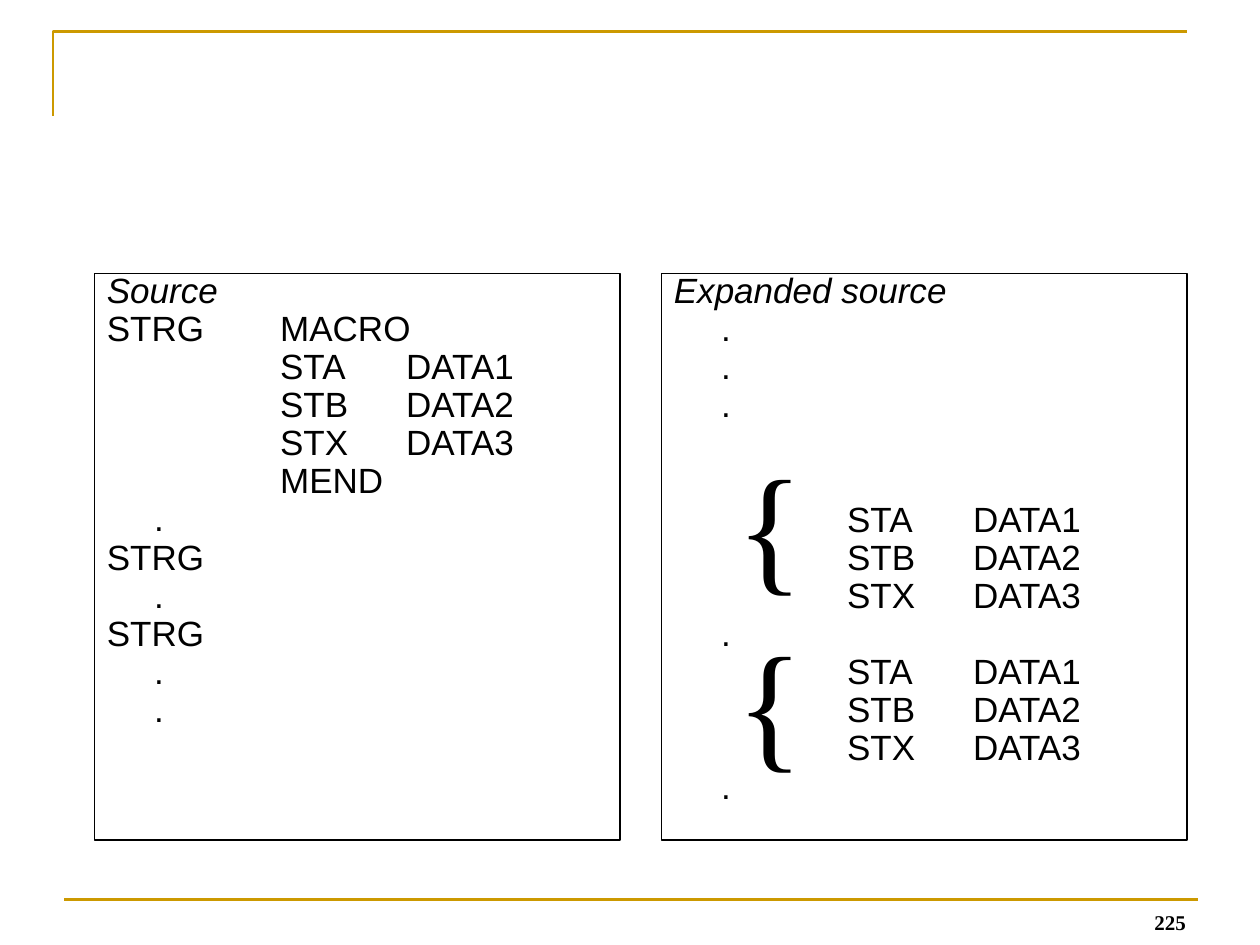
from dataclasses import dataclass

from lxml import etree
from pptx import Presentation
from pptx import util as u
from pptx.dml.color import RGBColor
from pptx.enum import shapes, text
from pptx.oxml import ns


@dataclass(frozen=True)
class Theme:
    gold = RGBColor(0xCC, 0x99, 0x00)
    black = RGBColor(0, 0, 0)
    code_font = "Arial"
    serif_font = "Times New Roman"
    code_size = 20
    brace_size = 80
    number_size = 12
    rule_width = 1.5
    panel_width = 1
    line_spacing = 0.7
    space_before = 5
    line_pitch = 21.8


THEME = Theme()
STORES = ["\t\tSTA\tDATA1", "\t\tSTB\tDATA2", "\t\tSTX\tDATA3"]
SOURCE = ["STRG\tMACRO", *STORES, "\t\tMEND",
          "\t.", "STRG", "\t.", "STRG", "\t.", "\t."]
EXPANDED = ["\t."] * 3 + STORES + ["\t."] + STORES + ["\t."]
FIRST_EXPANSION = 4  # paragraph that follows a gap of two lines


def style_run(paragraph, name, size, bold=False, italic=False):
    font = paragraph.runs[0].font
    font.name, font.size = name, u.Pt(size)
    font.bold, font.italic = bold, italic
    font.color.rgb = THEME.black


def set_code_tabs(paragraph):
    """Hanging indent with a tab stop at every inch."""
    properties = paragraph._p.get_or_add_pPr()
    properties.set("marL", str(u.Inches(0.375)))
    properties.set("indent", str(u.Inches(-0.375)))
    properties.set("defTabSz", str(u.Inches(1)))
    tabs = etree.SubElement(properties, ns.qn("a:tabLst"))
    for inch in range(8):
        etree.SubElement(tabs, ns.qn("a:tab"), pos=str(u.Inches(inch)), algn="l")


def add_label(slide, left, top, width, height, label, size, bold=False):
    box = slide.shapes.add_textbox(left, top, width, height)
    frame = box.text_frame
    frame.word_wrap = True
    frame.text = label
    style_run(frame.paragraphs[0], THEME.serif_font, size, bold)
    return frame


def add_corner(slide, left, top, width, height):
    builder = slide.shapes.build_freeform(left, top + height)
    builder.add_line_segments([(left, top), (left + width, top)], close=False)
    corner = builder.convert_to_shape()
    corner.shadow.inherit = False
    corner.fill.background()
    corner.line.color.rgb = THEME.gold
    corner.line.width = u.Pt(THEME.rule_width)


def add_footer(slide, left, top, width, number):
    rule = slide.shapes.add_connector(
        shapes.MSO_CONNECTOR.STRAIGHT, left, top, left + width, top)
    rule.line.color.rgb = THEME.gold
    rule.line.width = u.Pt(THEME.rule_width)
    etree.SubElement(rule._element.spPr, ns.qn("a:effectLst"))

    number_width = u.Inches(2.33)
    frame = add_label(slide, left + width - number_width, top - u.Inches(0.03),
                      number_width, u.Inches(0.36), number, THEME.number_size, True)
    frame.vertical_anchor = text.MSO_ANCHOR.BOTTOM
    frame.paragraphs[0].alignment = text.PP_ALIGN.RIGHT


def add_code_panel(slide, left, top, width, height, title, lines, gap_before=None):
    panel = slide.shapes.add_shape(
        shapes.MSO_SHAPE.RECTANGLE, left, top, width, height)
    panel.shadow.inherit = False
    panel.fill.background()
    panel.line.color.rgb = THEME.black
    panel.line.width = u.Pt(THEME.panel_width)

    frame = panel.text_frame
    frame.word_wrap = True
    frame.vertical_anchor = text.MSO_ANCHOR.TOP
    frame.text = "\n".join([title, *lines])
    for index, paragraph in enumerate(frame.paragraphs):
        set_code_tabs(paragraph)
        paragraph.alignment = text.PP_ALIGN.LEFT
        paragraph.line_spacing = THEME.line_spacing
        space = THEME.space_before if index else 0
        if index == gap_before:
            space += 2 * THEME.line_pitch
        paragraph.space_before = u.Pt(space)
        style_run(paragraph, THEME.code_font, THEME.code_size, italic=index == 0)


def add_expanded_panel(slide, left, top, width, height):
    add_code_panel(slide, left, top, width, height,
                   "Expanded source", EXPANDED, FIRST_EXPANSION)
    # One brace for each expansion of the macro
    for offset, brace_width in ((1.25, 0.36), (2.66, 0.61)):
        add_label(slide, left + u.Inches(0.5), top + u.Inches(offset),
                  u.Inches(brace_width), u.Inches(1.44), "{", THEME.brace_size)


def main():
    presentation = Presentation()
    presentation.slide_width, presentation.slide_height = u.Inches(10), u.Inches(7.5)
    slide = presentation.slides.add_slide(presentation.slide_layouts[6])

    # Slide frame
    add_corner(slide, u.Inches(0.42), u.Inches(0.25), u.Inches(9), u.Inches(0.67))
    add_footer(slide, u.Inches(0.51), u.Inches(7.14), u.Inches(9), "225")

    # Macro source beside its expansion
    top, width, height = u.Inches(2.17), u.Inches(4.17), u.Inches(4.5)
    add_code_panel(slide, u.Inches(0.75), top, width, height, "Source", SOURCE)
    add_expanded_panel(slide, u.Inches(5.25), top, width, height)

    presentation.save("out.pptx")


if __name__ == "__main__":
    main()
